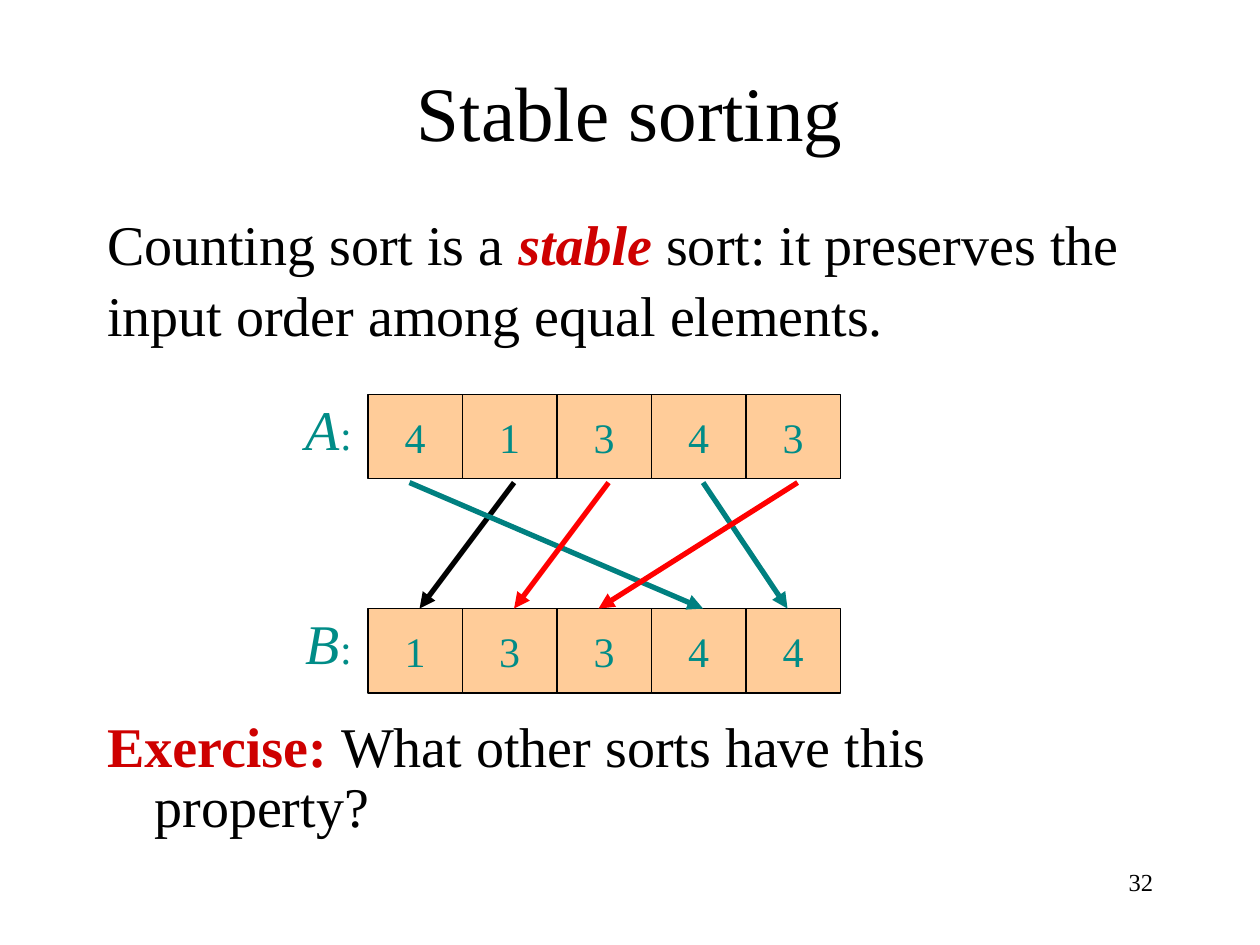
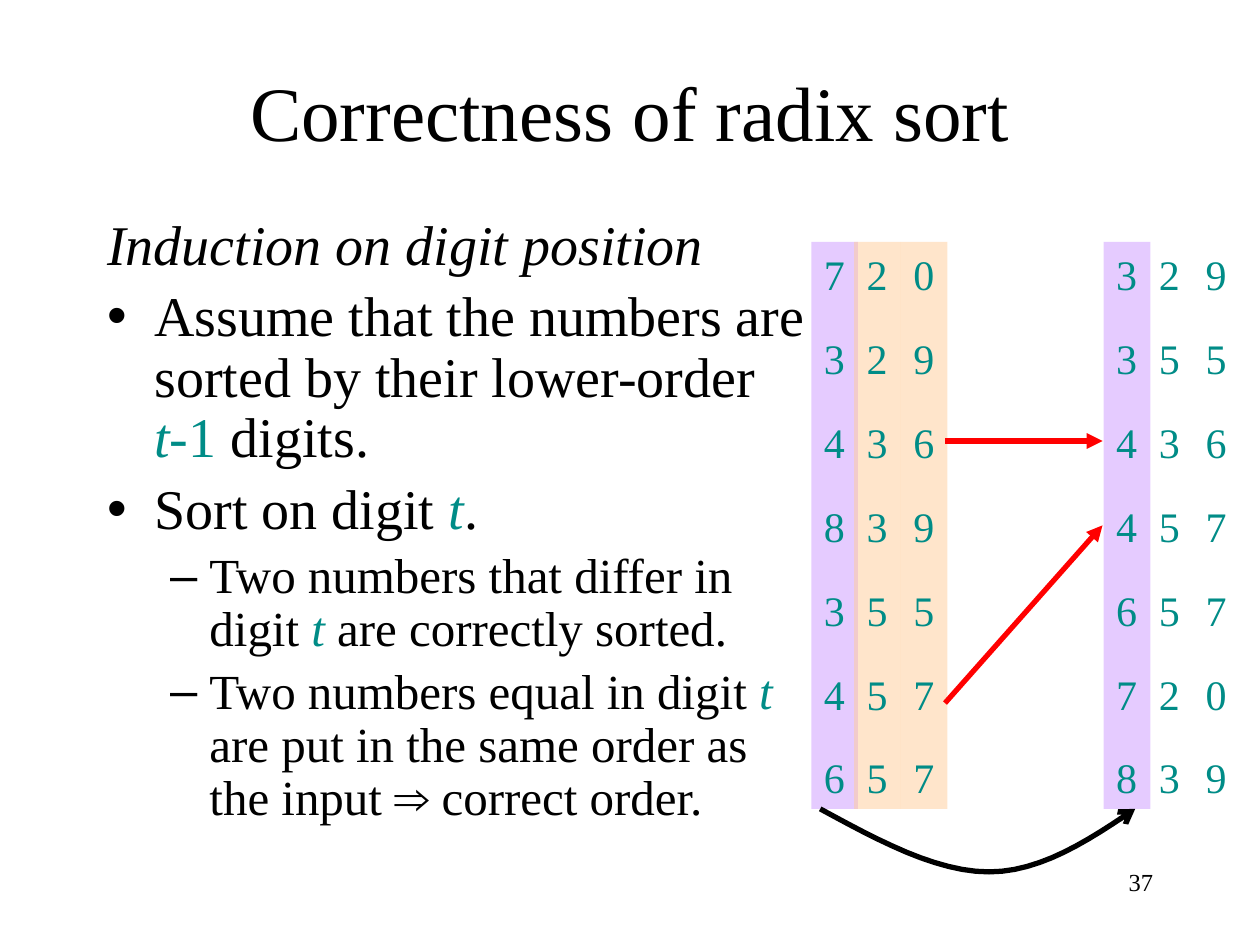
from dataclasses import dataclass
from typing import NamedTuple

from lxml.etree import SubElement
from pptx import Presentation
from pptx.dml.color import RGBColor
from pptx.enum.shapes import MSO_CONNECTOR, MSO_SHAPE
from pptx.enum.text import MSO_ANCHOR, MSO_AUTO_SIZE, PP_ALIGN
from pptx.oxml.ns import qn
from pptx.util import Inches, Pt

FACE = "Times New Roman"
BLACK, CRIMSON, RED = "000000", "CE0000", "FF0000"
DIGIT, TEAL = "008C87", "008080"
PEACH, LILAC = "FFCC99", "CC99FF"
CENTER = {"alignment": PP_ALIGN.CENTER}
LOOSE = {"word_wrap": False, "auto_size": MSO_AUTO_SIZE.NONE}
MIDDLE = {**LOOSE, "vertical_anchor": MSO_ANCHOR.MIDDLE}


class Run(NamedTuple):
    text: str
    size: int = 32
    hue: str = BLACK
    bold: bool = False
    italic: bool = False


@dataclass
class Para:
    runs: list[Run]
    level: int = 0
    before: float = 6.4
    bullet: bool = False


@dataclass
class Array:
    name: str
    top: float
    values: str


@dataclass
class Column:
    left: float
    digits: str
    fill: str | None = None


@dataclass
class Arrow:
    start: tuple[float, float]
    end: tuple[float, float]
    hue: str


def color(code: str) -> RGBColor:
    return RGBColor.from_string(code)


def assign(target, values: dict) -> None:
    for key, value in values.items():
        setattr(target, key, value)


def write(para, runs: list[Run]) -> None:
    for item in runs:
        run = para.add_run()
        run.text = item.text
        assign(run.font, {"name": FACE, "size": Pt(item.size),
                          "bold": item.bold, "italic": item.italic})
        run.font.color.rgb = color(item.hue)


def place(shape, left: float, top: float, width: float, height: float) -> None:
    assign(shape, {"left": Inches(left), "top": Inches(top),
                   "width": Inches(width), "height": Inches(height)})


def label(slide, box: tuple, runs: list[Run], align: PP_ALIGN) -> None:
    shape = slide.shapes.add_textbox(*map(Inches, box))
    assign(shape.text_frame, LOOSE)
    para = shape.text_frame.paragraphs[0]
    para.alignment = align
    write(para, runs)


def block(slide, box: tuple, fill: str | None):
    shape = slide.shapes.add_shape(MSO_SHAPE.RECTANGLE, *map(Inches, box))
    shape.shadow.inherit = False
    shape.line.fill.background()
    if fill:
        shape.fill.solid()
        shape.fill.fore_color.rgb = color(fill)
    else:
        shape.fill.background()
    return shape


def stroke(shape, hue: str, head: str) -> None:
    shape.line.color.rgb = color(hue)
    shape.line.width = Pt(3)
    SubElement(shape.line._get_or_add_ln(), qn("a:tailEnd"), type=head)


def link(slide, arrow: Arrow) -> None:
    points = map(Inches, (*arrow.start, *arrow.end))
    line = slide.shapes.add_connector(MSO_CONNECTOR.STRAIGHT, *points)
    stroke(line, arrow.hue, "triangle")
    SubElement(line._element.spPr, qn("a:effectLst"))


def frame(deck, title: str, number: str, width: float, paras: list[Para]):
    slide = deck.slides.add_slide(deck.slide_layouts[1])
    label(slide, (7.17, 6.83, 2.08, 0.5), [Run(number, 14)], PP_ALIGN.RIGHT)
    head, body = slide.shapes.title, slide.placeholders[1]
    place(head, 0.75, 0.25, 8.5, 1.25)
    head.text_frame.vertical_anchor = MSO_ANCHOR.MIDDLE
    assign(head.text_frame.paragraphs[0], CENTER)
    write(head.text_frame.paragraphs[0], [Run(title, 44)])
    place(body, 0.75, 1.67, width, 5)
    text = body.text_frame
    text.auto_size = MSO_AUTO_SIZE.NONE
    for index, item in enumerate(paras):
        para = text.add_paragraph() if index else text.paragraphs[0]
        if not item.bullet:
            SubElement(para._p.get_or_add_pPr(), qn("a:buNone"))
        assign(para, {"level": item.level, "line_spacing": 0.9,
                      "space_before": Pt(item.before if index else 0)})
        write(para, item.runs)
    return slide


def cells(slide, array: Array) -> None:
    for index, value in enumerate(array.values):
        box = (2.92 + 0.75 * index, array.top, 0.75, 0.67)
        cell = block(slide, box, PEACH)
        cell.line.color.rgb = color(BLACK)
        cell.line.width = Pt(0.75)
        assign(cell.text_frame, MIDDLE)
        para = cell.text_frame.paragraphs[0]
        assign(para, CENTER)
        write(para, [Run(value, 24, DIGIT)])
    name = [Run(array.name, 32, DIGIT, italic=True), Run(":", 24, DIGIT)]
    label(slide, (2.33, array.top - 0.05, 0.56, 0.63), name, PP_ALIGN.CENTER)


def stack(slide, column: Column) -> None:
    shape = block(slide, (column.left, 1.92, 0.37, 4.5), column.fill)
    if column.fill:
        tint = shape.fill._xPr.find(".//" + qn("a:srgbClr"))
        SubElement(tint, qn("a:alpha"), val="50000")
    text = shape.text_frame
    assign(text, {**LOOSE, "vertical_anchor": MSO_ANCHOR.TOP})
    for index, digit in enumerate(column.digits):
        para = text.add_paragraph() if index else text.paragraphs[0]
        assign(para, {"alignment": PP_ALIGN.LEFT,
                      "space_before": Pt(19.2 if index else 0)})
        write(para, [Run(digit, 24, DIGIT)])


def bezier(knots: list[tuple], steps: int = 12) -> list[tuple]:
    points = []
    for step in range(1, steps + 1):
        t = step / steps
        rates = ((1 - t) ** 3, 3 * t * (1 - t) ** 2,
                 3 * t * t * (1 - t), t ** 3)
        points.append(tuple(Inches(sum(r * k[axis] for r, k in zip(rates, knots)))
                            for axis in (0, 1)))
    return points


def swoop(slide) -> None:
    start, low, end = (6.51, 6.42), (7.85, 6.92), (9.01, 6.42)
    points = bezier([start, (6.97, 6.67), (7.43, 6.92), low])
    points += bezier([low, (8.26, 6.92), (8.64, 6.67), end])
    form = slide.shapes.build_freeform(*map(Inches, start))
    form.add_line_segments(points, close=False)
    curve = form.convert_to_shape()
    curve.shadow.inherit = False
    curve.fill.background()
    stroke(curve, BLACK, "arrow")


def stable(deck) -> None:
    slide = frame(deck, "Stable sorting", "32", 8.5, [
        Para([Run("Counting sort is a "),
              Run("stable ", hue=CRIMSON, bold=True, italic=True),
              Run("sort: it preserves the")]),
        Para([Run("input order among equal elements.")]),
        Para([Run("Exercise: ", hue=CRIMSON, bold=True),
              Run("What other sorts have this property?")], before=211.2),
    ])
    for array in (Array("A", 3.13, "41343"), Array("B", 4.83, "13344")):
        cells(slide, array)
    for start, end, hue in ((4.08, 3.33, BLACK), (3.25, 5.58, TEAL),
                            (5.58, 6.25, TEAL), (4.83, 4.08, RED),
                            (6.33, 4.75, RED)):
        link(slide, Arrow((start, 3.83), (end, 4.83), hue))


def radix(deck) -> None:
    big = Run("t", hue=DIGIT, italic=True)
    small = big._replace(size=28)
    slide = frame(deck, "Correctness of radix sort", "37", 5.75, [
        Para([Run("Induction on digit position", italic=True)]),
        Para([Run("Assume that the numbers are sorted by their lower-order "),
              big, Run("-1", hue=DIGIT), Run(" digits.")], bullet=True),
        Para([Run("Sort on digit "), big, Run(".")], bullet=True),
        Para([Run("Two numbers that differ in digit ", 28), small,
              Run(" are correctly sorted.", 28)], 1, 5.6, True),
        Para([Run("Two numbers equal in digit ", 28), small,
              Run(" are put in the same order as the input ⇒ correct order.",
                  28)], 1, 5.6, True),
    ])
    for column in (Column(6.44, "7348346", LILAC),
                   Column(6.78, "2233555", PEACH),
                   Column(7.15, "0969577", PEACH),
                   Column(8.76, "3344678", LILAC),
                   Column(9.1, "2535523"), Column(9.47, "9567709")):
        stack(slide, column)
    swoop(slide)
    for start, end in ((3.5, 3.5), (5.58, 4.17)):
        link(slide, Arrow((7.5, start), (8.75, end), RED))


def main() -> None:
    """Build both sorting slides and save the deck."""
    deck = Presentation()
    assign(deck, {"slide_width": Inches(10), "slide_height": Inches(7.5)})
    stable(deck)
    radix(deck)
    deck.save("out.pptx")


if __name__ == "__main__":
    main()
